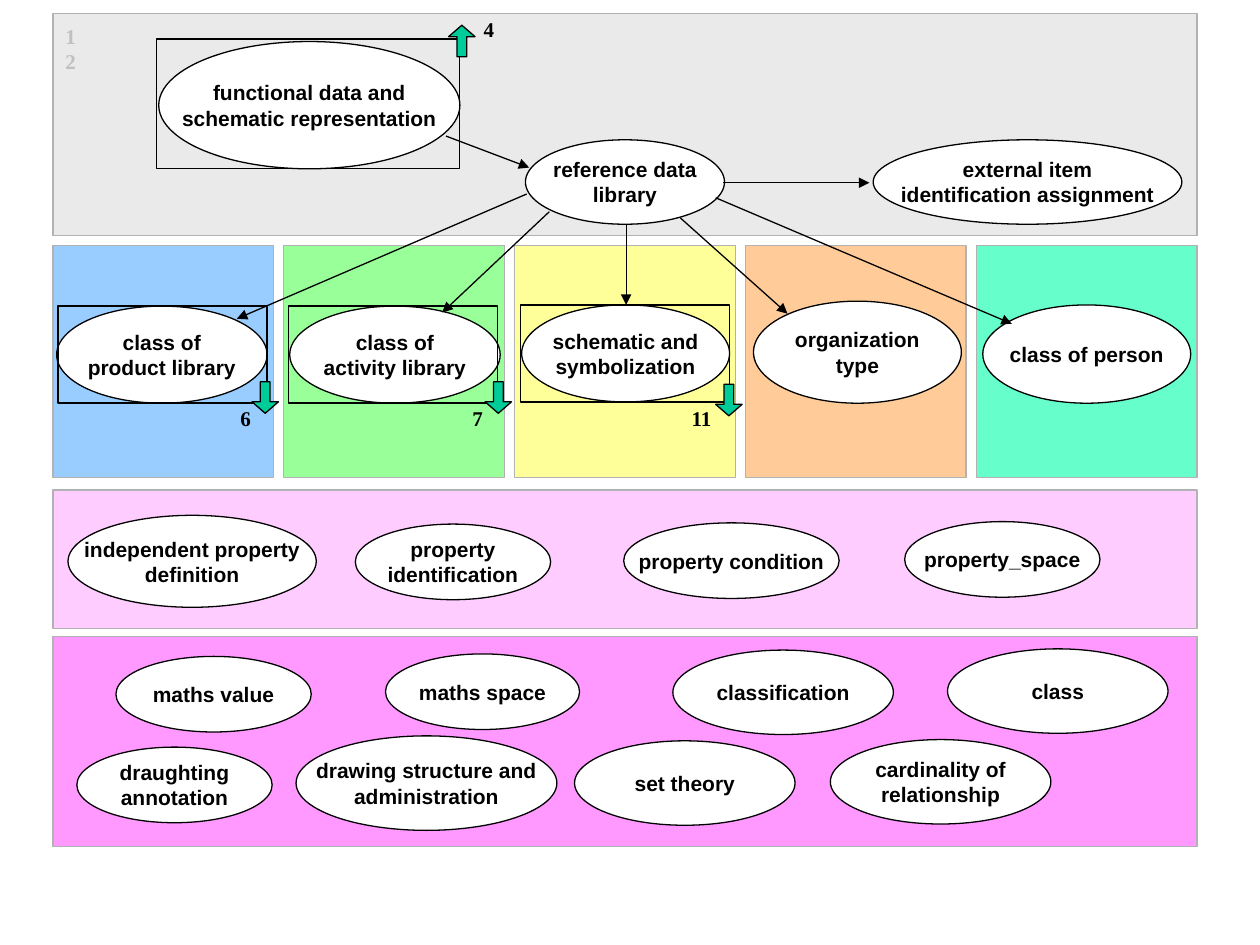
from pptx import Presentation
from pptx.dml.color import RGBColor
from pptx.enum.shapes import MSO_CONNECTOR, MSO_SHAPE
from pptx.enum.text import MSO_ANCHOR, MSO_AUTO_SIZE, PP_ALIGN
from pptx.oxml.ns import qn
from pptx.util import Inches, Pt
from lxml.etree import SubElement as Sub

BLACK = RGBColor(0x00, 0x00, 0x00)
WHITE = RGBColor(0xFF, 0xFF, 0xFF)
EDGE = RGBColor(0xB2, 0xB2, 0xB2)
FAINT = RGBColor(0xC0, 0xC0, 0xC0)
TEAL = RGBColor(0x00, 0xCC, 0x99)
GRAY = RGBColor(0xEA, 0xEA, 0xEA)
PINK = RGBColor(0xFF, 0xCC, 0xFF)
MAGENTA = RGBColor(0xFF, 0x99, 0xFF)
COLUMN_FILLS = [
    RGBColor(0x99, 0xCC, 0xFF),
    RGBColor(0x99, 0xFF, 0x99),
    RGBColor(0xFF, 0xFF, 0x99),
    RGBColor(0xFF, 0xCC, 0x99),
    RGBColor(0x66, 0xFF, 0xCC),
]

LEFT, WIDTH, COLUMN_WIDTH = 0.42, 9.08, 1.75
PITCH = (WIDTH - COLUMN_WIDTH) / (len(COLUMN_FILLS) - 1)

LABEL = {"name": "Arial", "size": Pt(12), "bold": True}
NUMBER = {"name": "Times New Roman", "size": Pt(12), "bold": True}

BANDS = [
    (0.11, 1.76, GRAY),
    (3.89, 1.1, PINK),
    (5.05, 1.67, MAGENTA),
]
CONCEPTS = [
    ("functional data and\nschematic representation", 1.26, 0.33, 2.39, 1.01),
    ("reference data\nlibrary", 4.17, 1.11, 1.58, 0.67),
    ("external item\nidentification assignment", 6.93, 1.11, 2.45, 0.67),
    ("class of\nproduct library", 0.45, 2.43, 1.67, 0.77),
    ("class of\nactivity library", 2.3, 2.43, 1.67, 0.77),
    ("schematic and\nsymbolization", 4.14, 2.42, 1.65, 0.77),
    ("organization\ntype", 5.98, 2.39, 1.65, 0.81),
    ("class of person", 7.8, 2.42, 1.65, 0.78),
    ("independent property\ndefinition", 0.54, 4.09, 1.97, 0.73),
    ("property\nidentification", 2.82, 4.16, 1.55, 0.6),
    ("property condition", 4.95, 4.15, 1.71, 0.6),
    ("property_space", 7.18, 4.14, 1.55, 0.6),
    ("maths value", 0.92, 5.21, 1.55, 0.6),
    ("maths space", 3.06, 5.19, 1.54, 0.6),
    ("classification", 5.34, 5.16, 1.75, 0.67),
    ("class", 7.52, 5.15, 1.75, 0.67),
    ("draughting\nannotation", 0.61, 5.93, 1.55, 0.6),
    ("drawing structure and\nadministration", 2.35, 5.84, 2.07, 0.75),
    ("set theory", 4.56, 5.88, 1.75, 0.67),
    ("cardinality of\nrelationship", 6.59, 5.87, 1.75, 0.67),
]
FRAMES = [
    (1.24, 0.31, 2.41, 1.03),
    (0.46, 2.43, 1.66, 0.77),
    (2.29, 2.43, 1.66, 0.77),
    (4.13, 2.42, 1.66, 0.77),
]
LINKS = [
    (3.54, 1.08, 4.2, 1.33),
    (5.74, 1.45, 6.9, 1.45),
    (4.18, 1.54, 1.88, 2.53),
    (4.36, 1.68, 3.51, 2.48),
    (4.97, 1.78, 4.97, 2.42),
    (5.4, 1.73, 6.25, 2.49),
    (5.68, 1.57, 8.03, 2.57),
]
PAGE_ARROWS = [
    (3.56, 0.2, 180),
    (2, 3.03, 0),
    (3.85, 3.03, 0),
    (5.68, 3.05, 0),
]
PAGE_NUMBERS = [
    ("12", 0.42, 0.14, 0.36, FAINT),
    ("4", 3.74, 0.08, 0.28, BLACK),
    ("6", 1.81, 3.17, 0.28, BLACK),
    ("7", 3.65, 3.17, 0.28, BLACK),
    ("11", 5.39, 3.17, 0.36, BLACK),
]


def add_box(slide, kind, box, fill=None, line=BLACK):
    sp = slide.shapes.add_shape(kind, *map(Inches, box))
    sp.shadow.inherit = False
    if fill is None:
        sp.fill.background()
    else:
        sp.fill.solid()
        sp.fill.fore_color.rgb = fill
    sp.line.color.rgb = line
    sp.line.width = Pt(0.75)
    return sp


def write(tf, text, style, color, align):
    tf.word_wrap = False
    tf.text = text
    for p in tf.paragraphs:
        p.alignment = align
        for r in p.runs:
            for key, value in style.items():
                setattr(r.font, key, value)
            r.font.color.rgb = color


def add_concept(slide, text, *box):
    sp = add_box(slide, MSO_SHAPE.OVAL, box, WHITE)
    sp.text_frame.vertical_anchor = MSO_ANCHOR.MIDDLE
    write(sp.text_frame, text, LABEL, BLACK, PP_ALIGN.CENTER)


def add_page_arrow(slide, x, y, rotation):
    sp = add_box(slide, MSO_SHAPE.DOWN_ARROW, (x, y, 0.21, 0.25), TEAL)
    sp.adjustments[0] = 0.367
    sp.adjustments[1] = 0.433
    sp.rotation = rotation


def add_page_number(slide, text, x, y, w, color):
    sp = slide.shapes.add_textbox(*map(Inches, (x, y, w, 0.3)))
    write(sp.text_frame, text, NUMBER, color, PP_ALIGN.LEFT)
    sp.text_frame.auto_size = MSO_AUTO_SIZE.SHAPE_TO_FIT_TEXT


def add_link(slide, *ends):
    link = slide.shapes.add_connector(MSO_CONNECTOR.STRAIGHT, *map(Inches, ends))
    link.line.color.rgb = BLACK
    link.line.width = Pt(0.75)
    Sub(link.line._get_or_add_ln(), qn("a:tailEnd"), type="triangle")
    Sub(link._element.spPr, qn("a:effectLst"))


def main():
    prs = Presentation()
    prs.slide_width, prs.slide_height = Inches(10), Inches(7.5)
    slide = prs.slides.add_slide(prs.slide_layouts[6])

    for top, height, fill in BANDS:
        add_box(slide, MSO_SHAPE.RECTANGLE, (LEFT, top, WIDTH, height), fill, EDGE)
    for i, fill in enumerate(COLUMN_FILLS):
        box = (LEFT + i * PITCH, 1.95, COLUMN_WIDTH, 1.84)
        add_box(slide, MSO_SHAPE.RECTANGLE, box, fill, EDGE)
    for concept in CONCEPTS:
        add_concept(slide, *concept)
    for frame in FRAMES:
        add_box(slide, MSO_SHAPE.RECTANGLE, frame)
    for ends in LINKS:
        add_link(slide, *ends)
    for arrow in PAGE_ARROWS:
        add_page_arrow(slide, *arrow)
    for number in PAGE_NUMBERS:
        add_page_number(slide, *number)

    prs.save("out.pptx")


if __name__ == "__main__":
    main()
